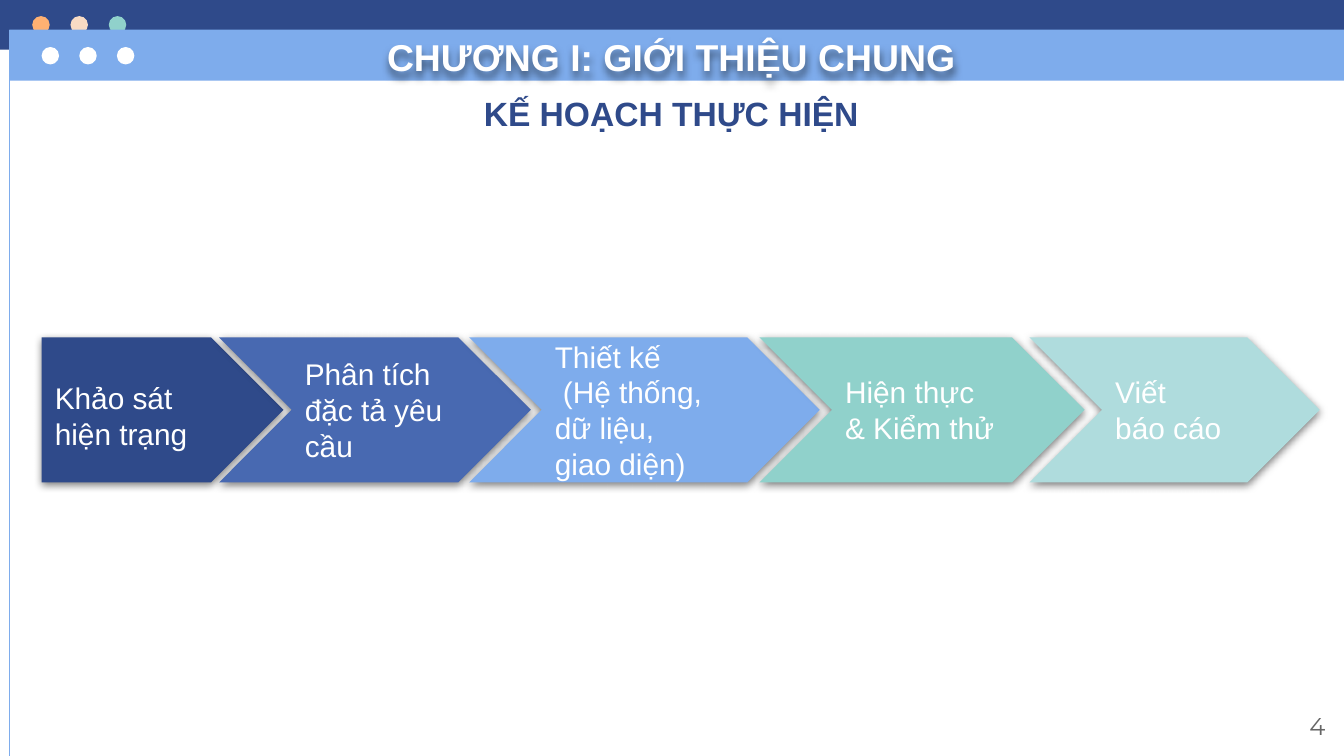
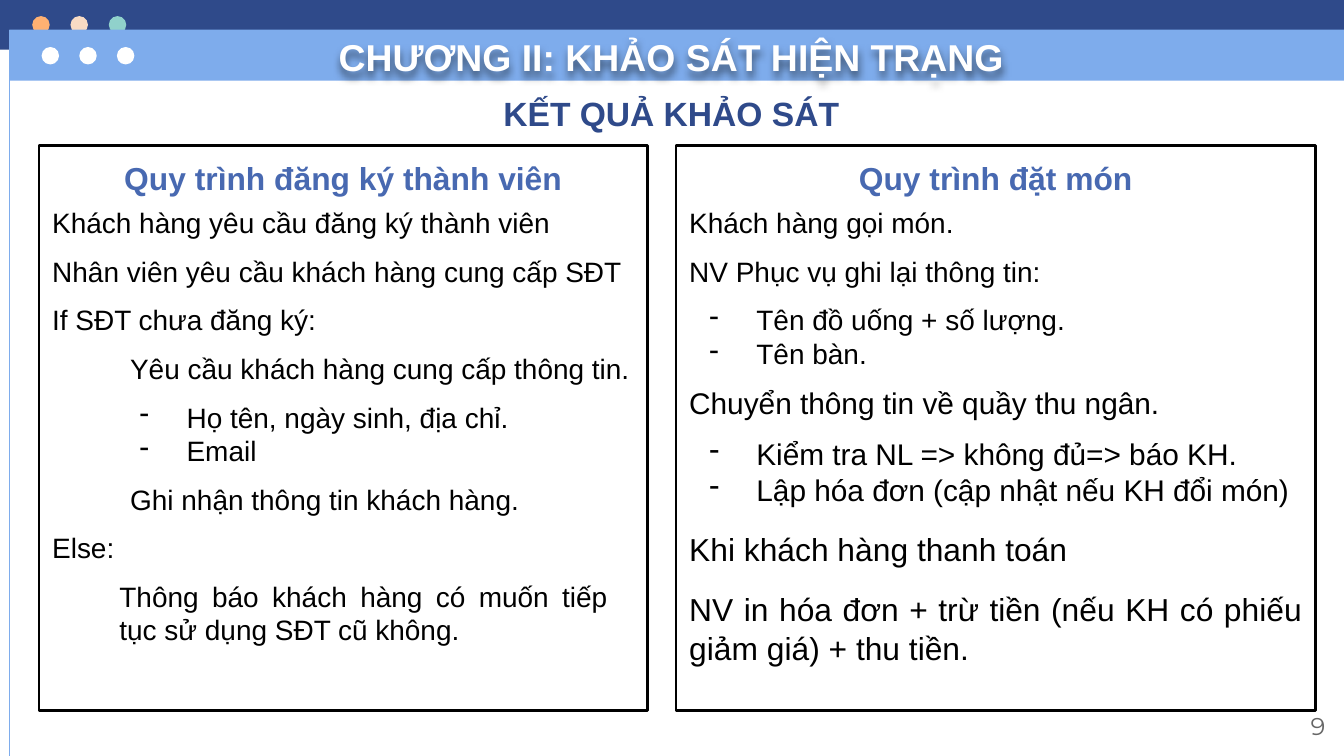
from lxml import etree
from pptx import Presentation
from pptx.dml.color import RGBColor
from pptx.enum.shapes import MSO_CONNECTOR, MSO_SHAPE
from pptx.enum.text import MSO_ANCHOR, PP_ALIGN
from pptx.oxml.ns import qn
from pptx.util import Inches, Pt

RECTANGLE, OVAL = MSO_SHAPE.RECTANGLE, MSO_SHAPE.OVAL
PENTAGON, CHEVRON = MSO_SHAPE.PENTAGON, MSO_SHAPE.CHEVRON
STRAIGHT = MSO_CONNECTOR.STRAIGHT
TOP, MIDDLE, BOTTOM = MSO_ANCHOR.TOP, MSO_ANCHOR.MIDDLE, MSO_ANCHOR.BOTTOM
LEFT, CENTER, RIGHT = PP_ALIGN.LEFT, PP_ALIGN.CENTER, PP_ALIGN.RIGHT
JUSTIFY = PP_ALIGN.JUSTIFY

NAVY = RGBColor(0x2F, 0x4A, 0x8A)
INDIGO = RGBColor(0x48, 0x69, 0xB1)
SKY = RGBColor(0x7E, 0xAC, 0xEC)
TEAL = RGBColor(0x90, 0xD1, 0xCB)
PALE_TEAL = RGBColor(0xAF, 0xDC, 0xDD)
ORANGE = RGBColor(0xFF, 0xB1, 0x72)
PEACH = RGBColor(0xF8, 0xDB, 0xC4)
GRAY = RGBColor(0x66, 0x66, 0x66)
WHITE = RGBColor(0xFF, 0xFF, 0xFF)
BLACK = RGBColor(0, 0, 0)

BODY_FONT, NUMBER_FONT = "Arial", "Montserrat"
LINE_FACTOR = 1.2
SLIDE_WIDTH = Inches(10)
SLIDE_HEIGHT = SLIDE_WIDTH * 9 // 16

# Content: plan steps as (left, width, colour, lines)
PLAN = {
    "chapter": "CHƯƠNG I: GIỚI THIỆU CHUNG",
    "topic": "KẾ HOẠCH THỰC HIỆN",
    "number": "4",
}
STEPS = [
    (0.31, 1.8, NAVY, ["Khảo sát hiện trạng"]),
    (1.63, 2.32, INDIGO, ["Phân tích đặc tả yêu cầu"]),
    (3.49, 2.61, SKY, ["Thiết kế", "(Hệ thống, dữ liệu,", "giao diện)"]),
    (5.65, 2.42, TEAL, ["Hiện thực & Kiểm thử"]),
    (7.66, 2.16, PALE_TEAL, ["Viết", "báo cáo"]),
]

# Content: survey panels with lines as (style, size, space before, text)
SURVEY = {
    "chapter": "CHƯƠNG II: KHẢO SÁT HIỆN TRẠNG",
    "topic": "KẾT QUẢ KHẢO SÁT",
    "number": "9",
}
PANELS = [
    (0.29, 4.53, [
        ("heading", 17, 0, "Quy trình đăng ký thành viên"),
        ("plain", 15, 5, "Khách hàng yêu cầu đăng ký thành viên"),
        ("plain", 15, 8, "Nhân viên yêu cầu khách hàng cung cấp SĐT"),
        ("plain", 15, 8, "If SĐT chưa đăng ký:"),
        ("branch", 15, 8, "Yêu cầu khách hàng cung cấp thông tin."),
        ("deep dash", 15, 8, "Họ tên, ngày sinh, địa chỉ."),
        ("deep dash", 15, 0, "Email"),
        ("branch", 15, 8, "Ghi nhận thông tin khách hàng."),
        ("plain", 15, 8, "Else:"),
        ("notice", 15, 8,
         "Thông báo khách hàng có muốn tiếp tục sử dụng SĐT cũ không."),
    ]),
    (5.03, 4.76, [
        ("heading", 17, 0, "Quy trình đặt món"),
        ("plain", 15, 5, "Khách hàng gọi món."),
        ("plain", 15, 8, "NV Phục vụ ghi lại thông tin:"),
        ("dash", 15, 8, "Tên đồ uống + số lượng."),
        ("dash", 15, 0, "Tên bàn."),
        ("plain", 16, 8, "Chuyển thông tin về quầy thu ngân."),
        ("dash", 16, 8, "Kiểm tra NL => không đủ=> báo KH."),
        ("dash", 16, 0, "Lập hóa đơn (cập nhật nếu KH đổi món)"),
        ("plain", 17, 12, "Khi khách hàng thanh toán"),
        ("plain", 17, 12,
         "NV in hóa đơn + trừ tiền (nếu KH có phiếu giảm giá) + thu tiền."),
    ]),
]
LINE_STYLES = {
    "heading": {"align": CENTER, "color": INDIGO, "bold": True},
    "plain": {},
    "branch": {"margin": 0.58},
    "notice": {"margin": 0.5, "right": 0.2},
    "dash": {"margin": 0.5, "indent": -0.35, "dash": True},
    "deep dash": {"margin": 1, "indent": -0.35, "dash": True},
}


def cast_shadow(shape, distance):
    """Give a shape a soft downward shadow."""
    shape.shadow.inherit = False
    effects = shape._element.spPr.find(qn("a:effectLst"))
    shadow = etree.SubElement(effects, qn("a:outerShdw"), blurRad=str(Pt(4.5)),
                              dist=str(Pt(distance)), dir="5400000",
                              algn="t", rotWithShape="0")
    tint = etree.SubElement(shadow, qn("a:srgbClr"), val=str(BLACK))
    etree.SubElement(tint, qn("a:alpha"), val="50000")


def add_shape(slide, kind, box, fill=None, outline=None):
    shape = slide.shapes.add_shape(kind, *map(Inches, box))
    shape.shadow.inherit = False
    if fill is None:
        shape.fill.background()
    else:
        shape.fill.solid()
        shape.fill.fore_color.rgb = fill
    if outline is None:
        shape.line.fill.background()
    else:
        shape.line.color.rgb = outline
        shape.line.width = Pt(1.5)
    return shape


def set_frame(shape, anchor, top=0.1):
    frame = shape.text_frame
    settings = {"word_wrap": True, "vertical_anchor": anchor,
                "margin_left": Inches(0.1), "margin_right": Inches(0.1),
                "margin_top": Inches(top), "margin_bottom": Inches(0.1)}
    for name, value in settings.items():
        setattr(frame, name, value)
    return frame


def write(paragraph, text, size, color, align, font=BODY_FONT, bold=False):
    paragraph.alignment = align
    run = paragraph.add_run()
    run.text = text
    for name, value in {"name": font, "size": Pt(size), "bold": bold}.items():
        setattr(run.font, name, value)
    run.font.color.rgb = color


def next_paragraph(frame, index):
    return frame.add_paragraph() if index else frame.paragraphs[0]


def add_label(slide, box, anchor, text, size, color, align, **options):
    label = slide.shapes.add_textbox(*map(Inches, box))
    frame = set_frame(label, anchor)
    write(frame.paragraphs[0], text, size, color, align, **options)
    return label


def add_dots(slide, left, top, pitch, colors):
    for i, color in enumerate(colors):
        add_shape(slide, OVAL, (left + i * pitch, top, 0.13, 0.13), color)


def add_base(deck, content):
    """Start a slide with the bands, dots, titles and page number."""
    slide = deck.slides.add_slide(deck.slide_layouts[6])
    add_shape(slide, RECTANGLE, (0, 0, 10, 0.37), NAVY)
    add_dots(slide, 0.24, 0.12, 0.285, [ORANGE, PEACH, TEAL])
    add_shape(slide, RECTANGLE, (0.07, 0.22, 9.93, 0.38), SKY)
    add_dots(slide, 0.31, 0.35, 0.28, [WHITE] * 3)

    edge = slide.shapes.add_connector(
        STRAIGHT, Inches(0.07), Inches(0.22), Inches(0.07), SLIDE_HEIGHT)
    edge.line.color.rgb = SKY
    edge.line.width = Pt(0.75)
    etree.SubElement(edge._element.spPr, qn("a:effectLst"))

    add_label(slide, (9.36, 5.19, 0.6, 0.43), TOP, content["number"],
              13, GRAY, RIGHT, font=NUMBER_FONT)
    chapter = add_label(slide, (-0.15, 0.11, 10.29, 0.58), BOTTOM,
                        content["chapter"], 20, WHITE, CENTER, bold=True)
    cast_shadow(chapter, 3)
    add_label(slide, (3.4, 0.62, 3.19, 0.47), BOTTOM, content["topic"],
              18, NAVY, CENTER, bold=True)
    return slide


def add_steps(slide):
    for number, (left, width, color, lines) in enumerate(STEPS):
        step = add_shape(slide, CHEVRON if number else PENTAGON,
                         (left, 2.51, width, 1.08), color)
        cast_shadow(step, 1.5)
        step.adjustments[0] = 0.5
        frame = set_frame(step, MIDDLE, 0.1 if number else 0.19)
        for i, line in enumerate(lines):
            paragraph = next_paragraph(frame, i)
            paragraph.line_spacing = Pt(16 * LINE_FACTOR)
            if line.startswith("("):
                paragraph._p.get_or_add_pPr().set("indent", str(Inches(0.06)))
            write(paragraph, line, 16, WHITE, LEFT)


def format_line(paragraph, style):
    properties = paragraph._p.get_or_add_pPr()
    lengths = {"marL": "margin", "marR": "right", "indent": "indent"}
    for attribute, key in lengths.items():
        properties.set(attribute, str(Inches(style.get(key, 0))))
    if style.get("dash"):
        tint = etree.SubElement(properties, qn("a:buClr"))
        etree.SubElement(tint, qn("a:srgbClr"), val=str(BLACK))
        etree.SubElement(properties, qn("a:buChar"), char="-")


def add_panels(slide):
    for left, width, lines in PANELS:
        panel = add_shape(slide, RECTANGLE, (left, 1.08, width, 4.21),
                          outline=BLACK)
        frame = set_frame(panel, TOP)
        for i, (kind, size, before, text) in enumerate(lines):
            style = LINE_STYLES[kind]
            paragraph = next_paragraph(frame, i)
            format_line(paragraph, style)
            paragraph.line_spacing = Pt(size * LINE_FACTOR)
            paragraph.space_before = Pt(before)
            write(paragraph, text, size, style.get("color", BLACK),
                  style.get("align", JUSTIFY), bold=style.get("bold", False))


def main():
    deck = Presentation()
    deck.slide_width, deck.slide_height = SLIDE_WIDTH, SLIDE_HEIGHT
    add_steps(add_base(deck, PLAN))
    add_panels(add_base(deck, SURVEY))
    deck.save("out.pptx")


if __name__ == "__main__":
    main()
